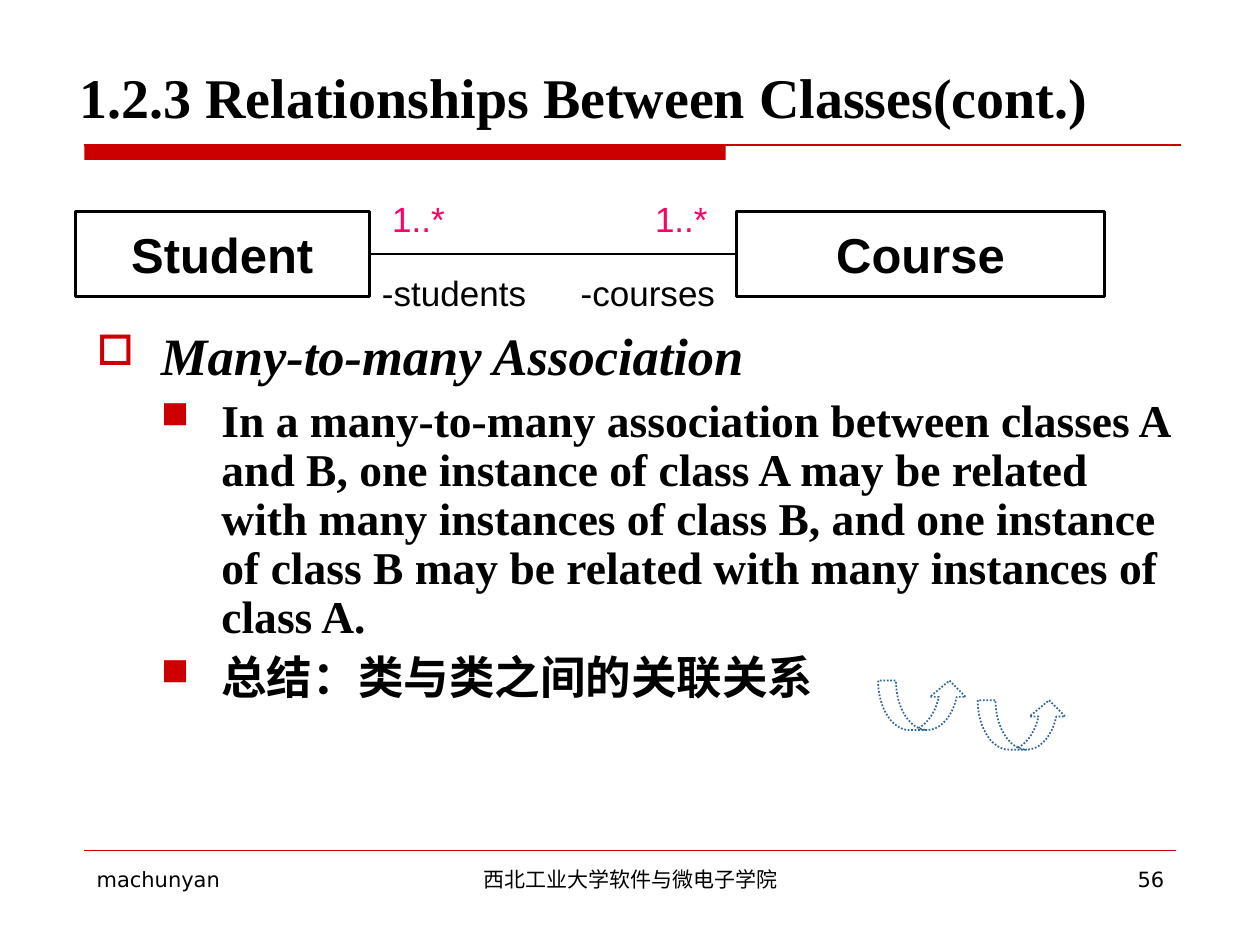
from lxml import etree
from pptx import Presentation
from pptx import util as u
from pptx.dml.color import RGBColor
from pptx.enum import dml, shapes, text
from pptx.oxml import ns

Pt = u.Pt
BLACK = RGBColor(0x00, 0x00, 0x00)
WHITE = RGBColor(0xFF, 0xFF, 0xFF)
RED = RGBColor(0xCC, 0x00, 0x00)
PINK = RGBColor(0xFF, 0x00, 0x66)
BLUE = RGBColor(0x33, 0x66, 0x99)
SERIF, SANS, FOOT = "Times New Roman", "Arial", "DejaVu Sans"
LEFT, CENTER, RIGHT = text.PP_ALIGN.LEFT, text.PP_ALIGN.CENTER, text.PP_ALIGN.RIGHT

# Content; boxes are left, top, width, height in points
TITLE = "1.2.3 Relationships Between Classes(cont.)"
CLASS_TOP, CLASS_HEIGHT = 121, 48.4
CLASSES = [("Student", 43, 168), ("Course", 421, 210)]
ROLES = [("-students", 211.2, 102), ("-courses", 324.7, 96)]
MULTIPLICITIES = [("1..*", 217, 48), ("1..*", 367.2, 48)]
LABEL_ROWS = [(ROLES, 151.5, BLACK), (MULTIPLICITIES, 109.4, PINK)]
LABEL_HEIGHT = 31.7
# text, bullet, bullet size %, text indent, hanging, size, italic, space before
POINTS = [
    ("Many-to-many Association", "□", 80, 36.7, 36.7, 30, True, 0),
    ("In a many-to-many association between classes A and B, one instance of "
     "class A may be related with many instances of class B, and one instance "
     "of class B may be related with many instances of class A.",
     "■", 84, 71.3, 34.6, 26, False, 6.5),
    ("总结：类与类之间的关联关系", "■", 84, 71.3, 34.6, 26, False, 6.5),
]
FOOTERS = [("machunyan", 48.2, 156.2, LEFT),
           ("西北工业大学软件与微电子学院", 246.2, 228.2, CENTER),
           ("56", 516.2, 156.2, RIGHT)]
ARROWS = [(558.7, 400.1), (501.8, 388.9)]


def write(paragraph, words, font=SANS, size=20, color=BLACK, bold=False,
          italic=False, align=LEFT):
    paragraph.alignment = align
    run = paragraph.add_run()
    run.text = words
    run.font.name, run.font.size = font, Pt(size)
    run.font.bold, run.font.italic = bold, italic
    run.font.color.rgb = color


def add_bullet(paragraph, char, percent, indent, hanging):
    props = paragraph._p.get_or_add_pPr()
    props.set("marL", str(Pt(indent)))
    props.set("indent", str(-Pt(hanging)))
    color = etree.SubElement(props, ns.qn("a:buClr"))
    etree.SubElement(color, ns.qn("a:srgbClr")).set("val", str(RED))
    etree.SubElement(props, ns.qn("a:buSzPct")).set("val", str(percent * 1000))
    etree.SubElement(props, ns.qn("a:buChar")).set("char", char)


def add_box(slide, box):
    frame = slide.shapes.add_textbox(*map(Pt, box)).text_frame
    frame.word_wrap = True
    return frame


def add_shape(slide, kind, box, fill=None):
    shape = slide.shapes.add_shape(kind, *map(Pt, box))
    shape.shadow.inherit = False
    if fill is None:
        shape.fill.background()
    else:
        shape.fill.solid()
        shape.fill.fore_color.rgb = fill
    return shape


def add_line(slide, left, right, y, color, width):
    line = slide.shapes.add_connector(
        shapes.MSO_CONNECTOR.STRAIGHT, Pt(left), Pt(y), Pt(right), Pt(y))
    line.line.color.rgb, line.line.width = color, Pt(width)
    etree.SubElement(line._element.spPr, ns.qn("a:effectLst"))


def main():
    prs = Presentation()
    prs.slide_width, prs.slide_height = Pt(720), Pt(540)
    slide = prs.slides.add_slide(prs.slide_layouts[5])

    # Title and its rule
    title = slide.shapes.title
    title.left, title.top, title.width, title.height = map(Pt, (38.2, 18, 633.6, 59.8))
    title.text_frame.vertical_anchor = text.MSO_ANCHOR.BOTTOM
    title.text_frame.auto_size = text.MSO_AUTO_SIZE.NONE
    write(title.text_frame.paragraphs[0], TITLE, font=SERIF, size=32, bold=True)
    rule = add_shape(slide, shapes.MSO_SHAPE.RECTANGLE, (48.2, 82.8, 366.5, 8.6), RED)
    rule.line.fill.background()
    add_line(slide, 48.2, 674.6, 82.8, RED, 0.75)

    # Footer
    add_line(slide, 48.2, 671.8, 486, RED, 0.25)
    for words, left, width, align in FOOTERS:
        frame = add_box(slide, (left, 491.8, width, 37.4))
        write(frame.paragraphs[0], words, font=FOOT, size=12, align=align)

    # Class diagram
    for name, left, width in CLASSES:
        box = add_shape(slide, shapes.MSO_SHAPE.FLOWCHART_PROCESS,
                        (left, CLASS_TOP, width, CLASS_HEIGHT), WHITE)
        box.line.color.rgb, box.line.width = BLACK, Pt(1.5)
        box.text_frame.word_wrap = False
        box.text_frame.vertical_anchor = text.MSO_ANCHOR.MIDDLE
        write(box.text_frame.paragraphs[0], name, size=28, bold=True, align=CENTER)
    (_, student_left, student_width), (_, course_left, _) = CLASSES
    add_line(slide, student_left + student_width, course_left,
             CLASS_TOP + CLASS_HEIGHT / 2, BLACK, 1.5)
    for labels, top, color in LABEL_ROWS:
        for words, left, width in labels:
            frame = add_box(slide, (left, top, width, LABEL_HEIGHT))
            write(frame.paragraphs[0], words, color=color)

    # Explanation
    body = add_box(slide, (48.2, 185, 635, 238.3))
    for i, (words, char, percent, indent, hanging, size, italic, before) in enumerate(POINTS):
        paragraph = body.add_paragraph() if i else body.paragraphs[0]
        add_bullet(paragraph, char, percent, indent, hanging)
        paragraph.line_spacing, paragraph.space_before = 0.9, Pt(before)
        write(paragraph, words, font=SERIF, size=size, bold=True, italic=italic)

    # Curved arrows
    for left, top in ARROWS:
        arrow = add_shape(slide, shapes.MSO_SHAPE.CURVED_UP_ARROW, (left, top, 51, 28.3))
        for i, value in enumerate((0.36, 0.72, 0.33)):
            arrow.adjustments[i] = value
        arrow.line.color.rgb, arrow.line.width = BLUE, Pt(1)
        arrow.line.dash_style = dml.MSO_LINE.ROUND_DOT

    prs.save("out.pptx")


if __name__ == "__main__":
    main()
